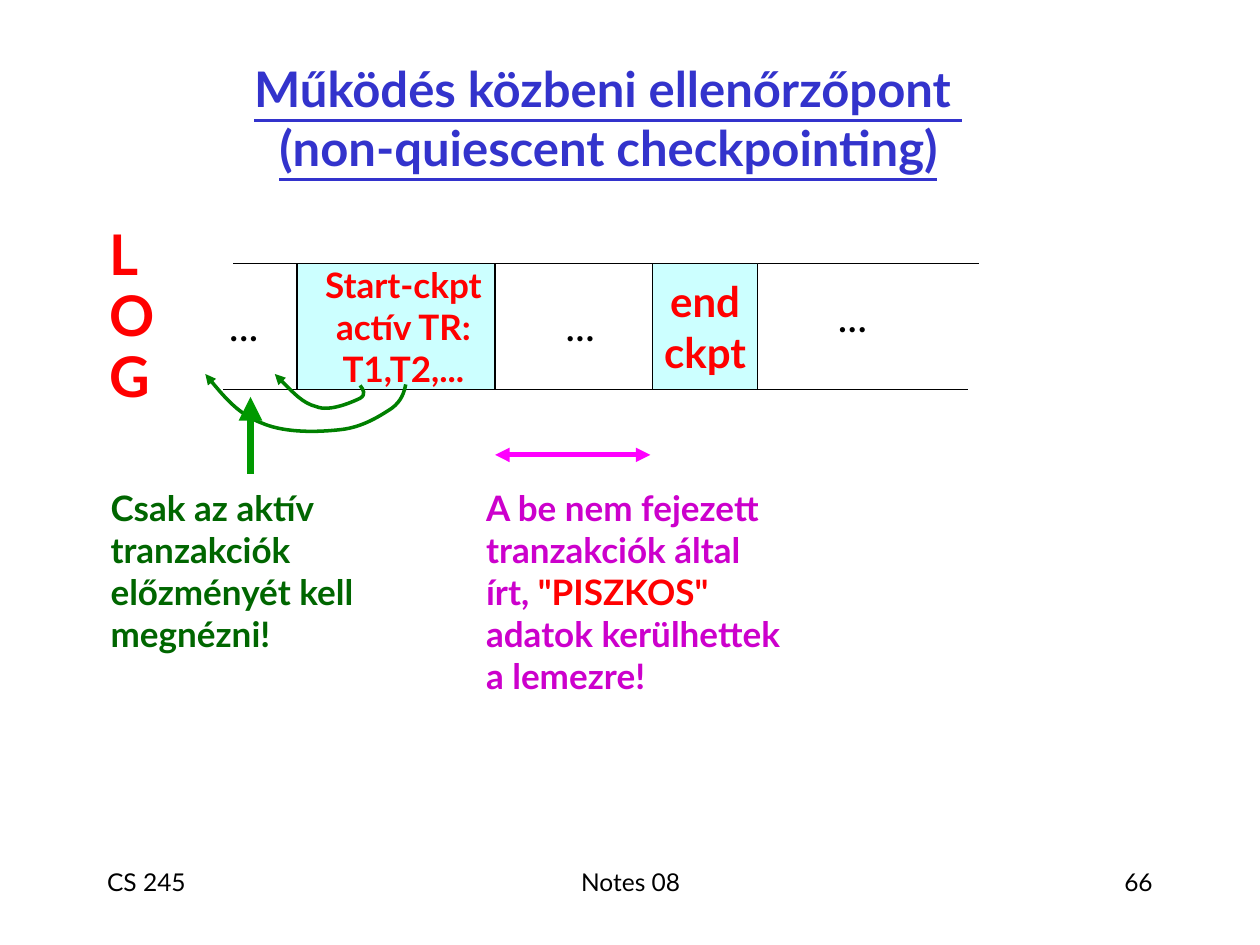
from lxml.etree import SubElement
from pptx import Presentation
from pptx.dml.color import RGBColor
from pptx.enum.shapes import MSO_CONNECTOR, MSO_SHAPE
from pptx.enum.text import MSO_ANCHOR as ANCHOR, MSO_AUTO_SIZE as AUTO, PP_ALIGN as ALIGN
from pptx.oxml.ns import qn
from pptx.util import Cm, Pt

COLORS = {
    "title": "3333CC", "red": "FF0000", "black": "000000", "white": "FFFFFF",
    "record": "CCFFFF", "interval": "FF00FF", "dirty": "CC00CC",
    "curve": "008000", "history": "006600", "arrow": "009900",
}
FONT = "Lato"

# Content: all lengths in centimetres; a paragraph is a list of (text, colour) runs
TITLE = "Működés közbeni ellenőrzőpont \v(non-quiescent checkpointing)"
LOG_LETTERS = [[(letter, "red")] for letter in "LOG"]
LOG_TOP, LOG_HEIGHT = 5.31, 2.54
LOG_BOTTOM = LOG_TOP + LOG_HEIGHT
RECORDS = [  # left, width, fill, lines, size
    (5.99, 4.29, "record", ["Start-ckpt", "actív TR:", "T1,T2,..."], 20),
    (9.98, 3.18, "white", [], 20),
    (13.16, 2.11, "record", ["end", "ckpt"], 24),
]
RAIL_LENGTH = 4.45
RAILS = [(15.29, LOG_TOP), (15.06, LOG_BOTTOM), (4.7, LOG_TOP), (4.5, LOG_BOTTOM)]
DOTS = [(16.59, 5.72), (11.1, 5.92), (4.32, 5.92)]
BACK_CURVES = [  # start point, then three points for each Bézier segment
    [(7.26, 7.77), (7.32, 7.85), (7.39, 7.95), (7.26, 8.03),
     (7.11, 8.1), (6.65, 8.31), (6.38, 8.2),
     (6.1, 8.13), (5.82, 7.82), (5.54, 7.54)],
    [(8.18, 7.75), (8.15, 7.9), (8.1, 8.08), (7.9, 8.23),
     (7.67, 8.38), (7.32, 8.61), (6.88, 8.66),
     (6.45, 8.71), (5.77, 8.74), (5.28, 8.53),
     (4.83, 8.36), (4.47, 7.95), (4.14, 7.54)],
]
REMARKS = [  # box, runs
    ((1.98, 9.68, 5.51, 4.5),
     [("Csak az aktív tranzakciók előzményét kell megnézni!", "history")]),
    ((9.55, 9.68, 6.43, 7.04),
     [("A be nem fejezett tranzakciók által írt, ", "dirty"),
      ('"PISZKOS" ', "red"),
      ("adatok kerülhettek a lemezre!", "dirty")]),
]
FOOTERS = [  # left, width, text, alignment
    (8.69, 8.05, "Notes 08", ALIGN.CENTER),
    (18.21, 5.28, "66", ALIGN.RIGHT),
    (1.91, 5.28, "CS 245", ALIGN.LEFT),
]


def rgb(name):
    return RGBColor.from_string(COLORS[name])


def apply(target, formats):
    for name, value in formats.items():
        setattr(target, name, value)


def write(frame, paragraphs, size, bold=False, frame_format=None, **paragraph_format):
    apply(frame, {"word_wrap": True, "auto_size": AUTO.NONE, **(frame_format or {})})
    for index, runs in enumerate(paragraphs):
        paragraph = frame.paragraphs[0] if index == 0 else frame.add_paragraph()
        apply(paragraph, paragraph_format)
        if index == 0:
            paragraph.space_before = Pt(0)
        for text, color in runs:
            run = paragraph.add_run()
            run.text = text
            apply(run.font, {"name": FONT, "size": Pt(size), "bold": bold})
            run.font.color.rgb = rgb(color)


def add_text(slide, box, paragraphs, size, **options):
    frame = slide.shapes.add_textbox(*map(Cm, box)).text_frame
    write(frame, paragraphs, size, **options)


def set_line(shape, color, width, *ends):
    shape.line.color.rgb = rgb(color)
    shape.line.width = Pt(width)
    outline = shape.line._get_or_add_ln()
    for end in ends:
        SubElement(outline, qn(f"a:{end}"), type="triangle")


def add_line(slide, start, end, color, width, *ends):
    line = slide.shapes.add_connector(MSO_CONNECTOR.STRAIGHT, *map(Cm, start + end))
    set_line(line, color, width, *ends)
    SubElement(line._element.spPr, qn("a:effectLst"))


def add_curve(slide, points):
    start, *others = [(Cm(x), Cm(y)) for x, y in points]
    builder = slide.shapes.build_freeform(*start)
    builder.add_line_segments(others, close=False)
    curve = builder.convert_to_shape()
    curve.shadow.inherit = False
    curve.fill.background()
    set_line(curve, "curve", 2, "tailEnd")
    # Merge each three straight segments into one Bézier segment
    segments = curve._element.findall(".//" + qn("a:lnTo"))
    for first in range(0, len(segments), 3):
        bezier = SubElement(segments[first].getparent(), qn("a:cubicBezTo"))
        for segment in segments[first:first + 3]:
            bezier.append(segment[0])
            segment.getparent().remove(segment)


def main():
    prs = Presentation()
    prs.slide_width, prs.slide_height = Cm(25.4), Cm(19.05)
    slide = prs.slides.add_slide(prs.slide_layouts[5])

    # Title
    title = slide.shapes.title
    apply(title, dict(zip(("left", "top", "width", "height"),
                          map(Cm, (1.47, 1.09, 21.59, 2.57)))))
    write(title.text_frame, [], 28, frame_format={"vertical_anchor": ANCHOR.MIDDLE})
    heading = title.text_frame.paragraphs[0]
    heading.text = TITLE
    heading.alignment = ALIGN.CENTER
    for run in heading.runs:
        apply(run.font, {"name": FONT, "size": Pt(28), "bold": True, "underline": True})
        run.font.color.rgb = rgb("title")

    # Vertical LOG label
    add_text(slide, (1.96, 4.67, 21.59, 11.43), LOG_LETTERS, 32, bold=True,
             line_spacing=0.7, space_before=Pt(8))

    # Log records
    for left, width, fill, lines, size in RECORDS:
        record = slide.shapes.add_shape(
            MSO_SHAPE.RECTANGLE, *map(Cm, (left, LOG_TOP, width, LOG_HEIGHT)))
        record.shadow.inherit = False
        record.fill.solid()
        record.fill.fore_color.rgb = rgb(fill)
        set_line(record, "black", 0.75)
        write(record.text_frame, [[(line, "red")] for line in lines], size, bold=True,
              frame_format={"word_wrap": False, "vertical_anchor": ANCHOR.MIDDLE},
              alignment=ALIGN.CENTER)

    # Rails of the log and the gaps between records
    for left, top in RAILS:
        add_line(slide, (left, top), (left + RAIL_LENGTH, top), "black", 0.75)
    for left, top in DOTS:
        add_text(slide, (left, top, 1.19, 1.27), [[("...", "black")]], 24,
                 frame_format={"word_wrap": False, "auto_size": AUTO.SHAPE_TO_FIT_TEXT,
                               "vertical_anchor": ANCHOR.MIDDLE},
                 alignment=ALIGN.CENTER)

    # Interval between the checkpoints and references back
    add_line(slide, (9.98, 9.17), (13.11, 9.17), "interval", 2.75, "headEnd", "tailEnd")
    for points in BACK_CURVES:
        add_curve(slide, points)

    # Remarks
    for box, runs in REMARKS:
        add_text(slide, box, [runs], 20, bold=True,
                 frame_format={"auto_size": AUTO.SHAPE_TO_FIT_TEXT})
    add_line(slide, (5.05, 9.55), (5.05, 8), "arrow", 4.5, "tailEnd")

    # Footer
    for left, width, text, alignment in FOOTERS:
        add_text(slide, (left, 17.35, width, 1.27), [[(text, "black")]], 14,
                 alignment=alignment)

    prs.save("out.pptx")


if __name__ == "__main__":
    main()
